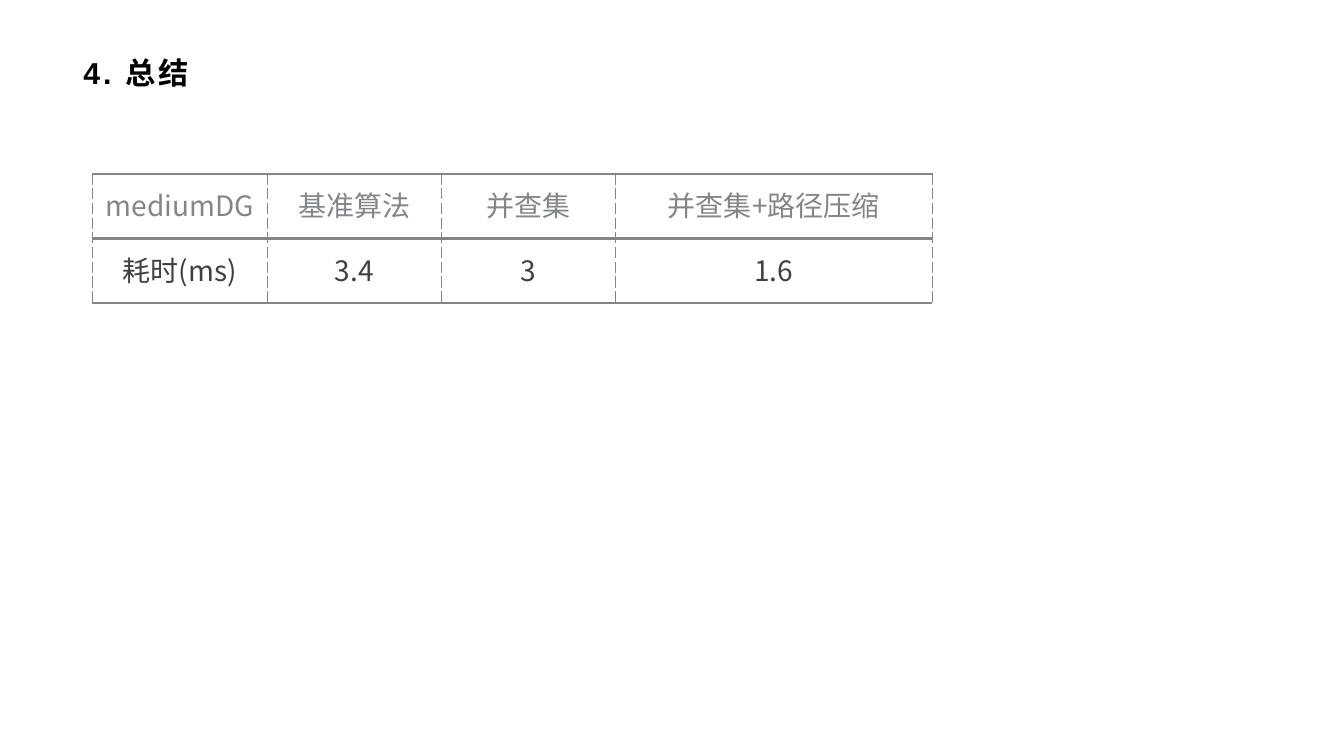
from lxml import etree
from pptx import Presentation
from pptx.dml.color import RGBColor
from pptx.enum import text
from pptx.oxml import ns
from pptx.util import Pt

COLORS = {"title": "000000", "header": "848587", "body": "404040",
          "border": "848587", "cell": "FFFFFF"}
CJK_FONT = "Noto Sans CJK SC"


def style_paragraph(paragraph, font_name, size, color, bold=False):
    font = paragraph.font
    font.name, font.size, font.bold = font_name, Pt(size), bold
    font.color.rgb = RGBColor.from_string(COLORS[color])
    properties = paragraph._p.get_or_add_pPr().get_or_add_defRPr()
    etree.SubElement(properties, ns.qn("a:ea"), typeface=CJK_FONT)


def add_border(cell, side, width, dash):
    line = etree.SubElement(cell._tc.get_or_add_tcPr(), ns.qn(f"a:{side}"),
                            w=str(Pt(width)))
    fill = etree.SubElement(line, ns.qn("a:solidFill"))
    etree.SubElement(fill, ns.qn("a:srgbClr"), val=COLORS["border"])
    etree.SubElement(line, ns.qn("a:prstDash"), val=dash)


presentation = Presentation()
presentation.slide_width, presentation.slide_height = Pt(960), Pt(540)
slide = presentation.slides.add_slide(presentation.slide_layouts[6])

# Title
title = slide.shapes.add_textbox(Pt(52.56), Pt(34.56), Pt(854.64), Pt(34.56))
frame = title.text_frame
frame.word_wrap = True
frame.vertical_anchor = text.MSO_ANCHOR.MIDDLE
frame.text = "4. 总结"
style_paragraph(frame.paragraphs[0], "Arial", 21.6, "title", bold=True)
frame.paragraphs[0].runs[0].font._element.set("spc", "200")

# Timing table
rows = [["mediumDG", "基准算法", "并查集", "并查集+路径压缩"],
        ["耗时(ms)", "3.4", "3", "1.6"]]
column_widths = [124.5, 124.5, 124.5, 226]
row_height = 46
table = slide.shapes.add_table(
    len(rows), len(column_widths), Pt(66.24), Pt(124.56),
    Pt(sum(column_widths)), Pt(row_height * len(rows))).table
table.first_row = table.horz_banding = False
for column, width in zip(table.columns, column_widths):
    column.width = Pt(width)

for row_index, values in enumerate(rows):
    table.rows[row_index].height = Pt(row_height)
    is_header = row_index == 0
    for column_index, value in enumerate(values):
        cell = table.cell(row_index, column_index)
        cell.text = value
        cell.vertical_anchor = text.MSO_ANCHOR.MIDDLE
        cell.margin_left = cell.margin_right = cell.margin_top = Pt(0.75)
        cell.margin_bottom = Pt(3.6)
        paragraph = cell.text_frame.paragraphs[0]
        paragraph.alignment = text.PP_ALIGN.CENTER
        style_paragraph(paragraph, CJK_FONT, 20,
                        "header" if is_header else "body")
        # Dashed sides, solid rules above and below; fill follows the borders
        for side in ("lnL", "lnR"):
            add_border(cell, side, 0.75, "sysDash")
        add_border(cell, "lnT", 1.5 if is_header else 2.25, "solid")
        add_border(cell, "lnB", 2.25, "solid")
        cell.fill.solid()
        cell.fill.fore_color.rgb = RGBColor.from_string(COLORS["cell"])

presentation.save("out.pptx")
